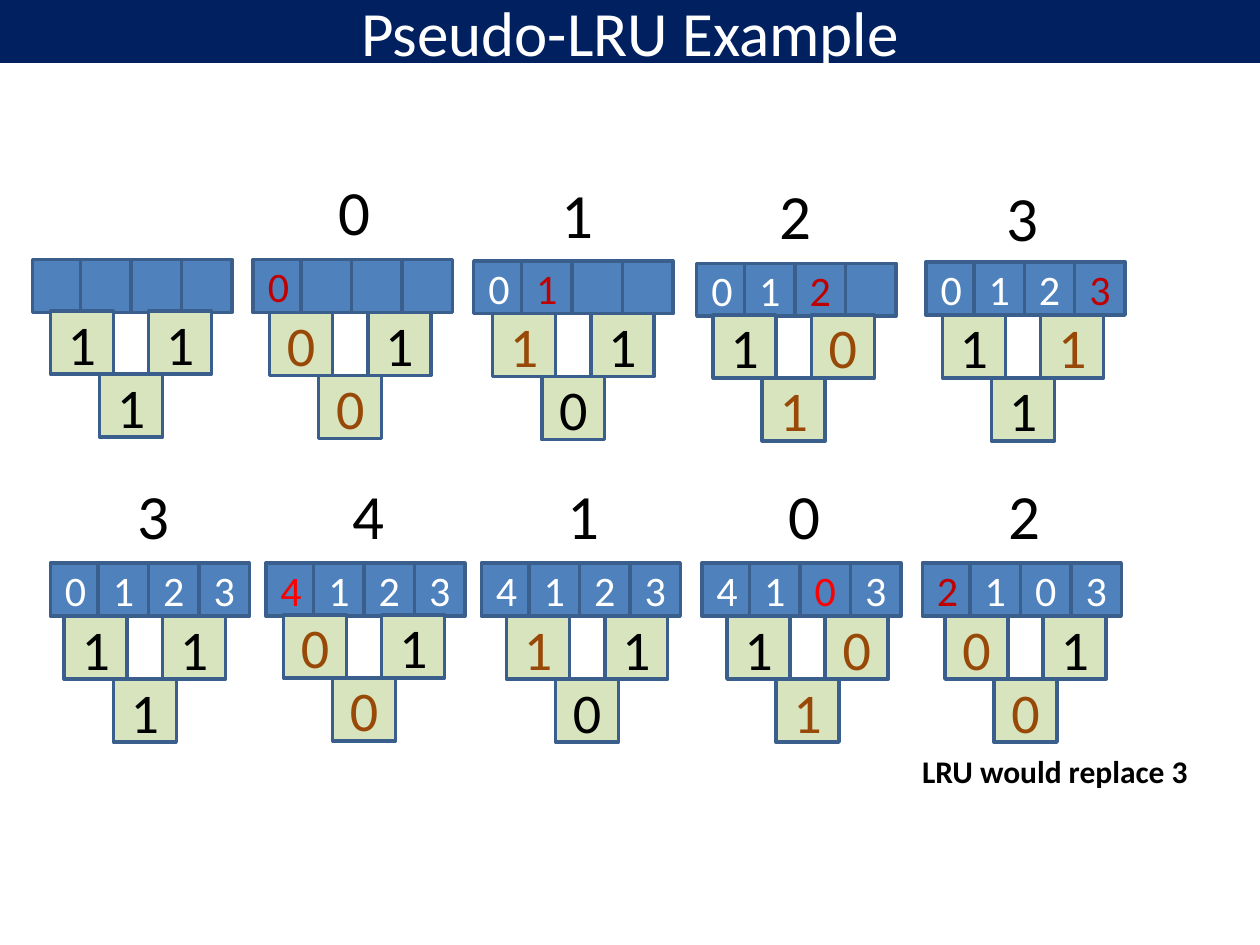
from dataclasses import dataclass

from pptx import Presentation
from pptx.dml.color import RGBColor
from pptx.enum.shapes import MSO_SHAPE
from pptx.enum.text import MSO_ANCHOR, MSO_AUTO_SIZE, PP_ALIGN
from pptx.util import Inches, Pt

COLORS = {
    "navy": "002060", "blue": "4F81BD", "green": "D7E4BD", "edge": "3A5F8C",
    "white": "FFFFFF", "black": "000000", "brown": "984807",
    "crimson": "C00000", "red": "FF0000",
}
COLS, ROWS = 20, 15
WAY_W, WAY_H = 0.8, 0.84
WAY_OFFSETS = (0, 0.76, 1.56, 2.36)
BIT_OFFSETS = ((0, 0), (1.56, 0), (0.78, 1))  # left, right, root


def rgb(name):
    return RGBColor.from_string(COLORS[name])


def write(tf, text, size, color="black", bold=None, align=None, font="Calibri"):
    p = tf.paragraphs[0]
    p.alignment = align
    r = p.add_run()
    r.text = text
    r.font.name, r.font.size, r.font.bold = font, Pt(size), bold
    r.font.color.rgb = rgb(color)


@dataclass
class Step:
    """One access; places are (column, row) and changed lists tree bits."""
    ways_at: tuple
    tree_at: tuple
    ways: str
    bits: str
    access: str = ""
    access_at: tuple = ()
    changed: tuple = ()
    new_way: int = -1
    new_color: str = "crimson"


class SlideGrid:
    """Places elements on a grid of COLS by ROWS cells."""

    def __init__(self, prs):
        self.s = prs.slides.add_slide(prs.slide_layouts[5])
        self.col, self.row = prs.slide_width / COLS, prs.slide_height / ROWS

    def box(self, x, y, w, h):
        return (round(x * self.col), round(y * self.row),
                round(w * self.col), round(h * self.row))

    def title(self, text):
        sp = self.s.shapes.title
        sp.left, sp.top, sp.width, sp.height = self.box(0, 0, COLS, 1)
        sp.fill.solid()
        sp.fill.fore_color.rgb = rgb("navy")
        tf = sp.text_frame
        tf.auto_size = MSO_AUTO_SIZE.NONE
        tf.vertical_anchor = MSO_ANCHOR.MIDDLE
        write(tf, text, 36, "white", align=PP_ALIGN.CENTER)

    def label(self, shapes, text, x, y, w, h, **fmt):
        tf = shapes.add_textbox(*self.box(x, y, w, h)).text_frame
        tf.word_wrap = False
        tf.auto_size = MSO_AUTO_SIZE.SHAPE_TO_FIT_TEXT
        write(tf, text, **fmt)

    def cell(self, shapes, text, x, y, w, h, fill, **fmt):
        sp = shapes.add_shape(MSO_SHAPE.RECTANGLE, *self.box(x, y, w, h))
        sp.shadow.inherit = False
        sp.fill.solid()
        sp.fill.fore_color.rgb = rgb(fill)
        sp.line.color.rgb = rgb("edge")
        sp.line.width = Pt(2)
        sp.text_frame.vertical_anchor = MSO_ANCHOR.MIDDLE
        if text.strip():
            write(sp.text_frame, text, align=PP_ALIGN.CENTER, **fmt)

    def step(self, st):
        """Draws the accessed block, the four ways and the bit tree."""
        shapes = self.s.shapes.add_group_shape().shapes
        if st.access:
            self.label(shapes, st.access, *st.access_at, 0.92, 1.42, size=36)
        x, y = st.ways_at
        for i, (way, dx) in enumerate(zip(st.ways, WAY_OFFSETS)):
            color = st.new_color if i == st.new_way else "white"
            self.cell(shapes, way, x + dx, y, WAY_W, WAY_H, "blue", size=24, color=color)
        x, y = st.tree_at
        for i, (bit, (dx, dy)) in enumerate(zip(st.bits, BIT_OFFSETS)):
            color = "brown" if i in st.changed else "black"
            self.cell(shapes, bit, x + dx, y + dy, 1, 1, "green", size=32, color=color)


LEFT, RIGHT, ROOT = range(3)
STEPS = [
    Step((0.52, 4.12), (0.8, 4.94), "    ", "111"),
    Step((4.02, 4.12), (4.28, 4.96), "0   ", "010", "0", (5.18, 2.64), (LEFT, ROOT), 0),
    Step((7.52, 4.14), (7.82, 4.98), "01  ", "110", "1", (8.72, 2.68), (LEFT,), 1),
    Step((11.06, 4.18), (11.32, 5), "012 ", "101", "2", (12.18, 2.7), (RIGHT, ROOT), 2),
    Step((14.7, 4.16), (14.96, 5), "0123", "111", "3", (15.78, 2.74), (RIGHT,), 3),
    Step((0.8, 8.94), (1.02, 9.78), "0123", "111", "3", (1.98, 7.46)),
    Step((4.22, 8.94), (4.5, 9.76), "4123", "010", "4", (5.4, 7.46), (LEFT, ROOT), 0, "red"),
    Step((7.64, 8.94), (8.04, 9.78), "4123", "110", "1", (8.82, 7.46), (LEFT,)),
    Step((11.14, 8.94), (11.54, 9.78), "4103", "101", "0", (12.32, 7.46), (RIGHT, ROOT), 2, "red"),
    Step((14.64, 8.94), (15, 9.78), "2103", "010", "2", (15.82, 7.46), (LEFT, ROOT), 0),
]


def main():
    prs = Presentation()
    prs.slide_width, prs.slide_height = Inches(10), Inches(7.5)
    grid = SlideGrid(prs)
    grid.title("Pseudo-LRU Example")
    for st in STEPS:
        grid.step(st)
    grid.label(grid.s.shapes, "LRU would replace 3", 14.44, 11.84, 4.66, 0.8,
               size=18, bold=True)
    prs.save("out.pptx")


if __name__ == "__main__":
    main()
